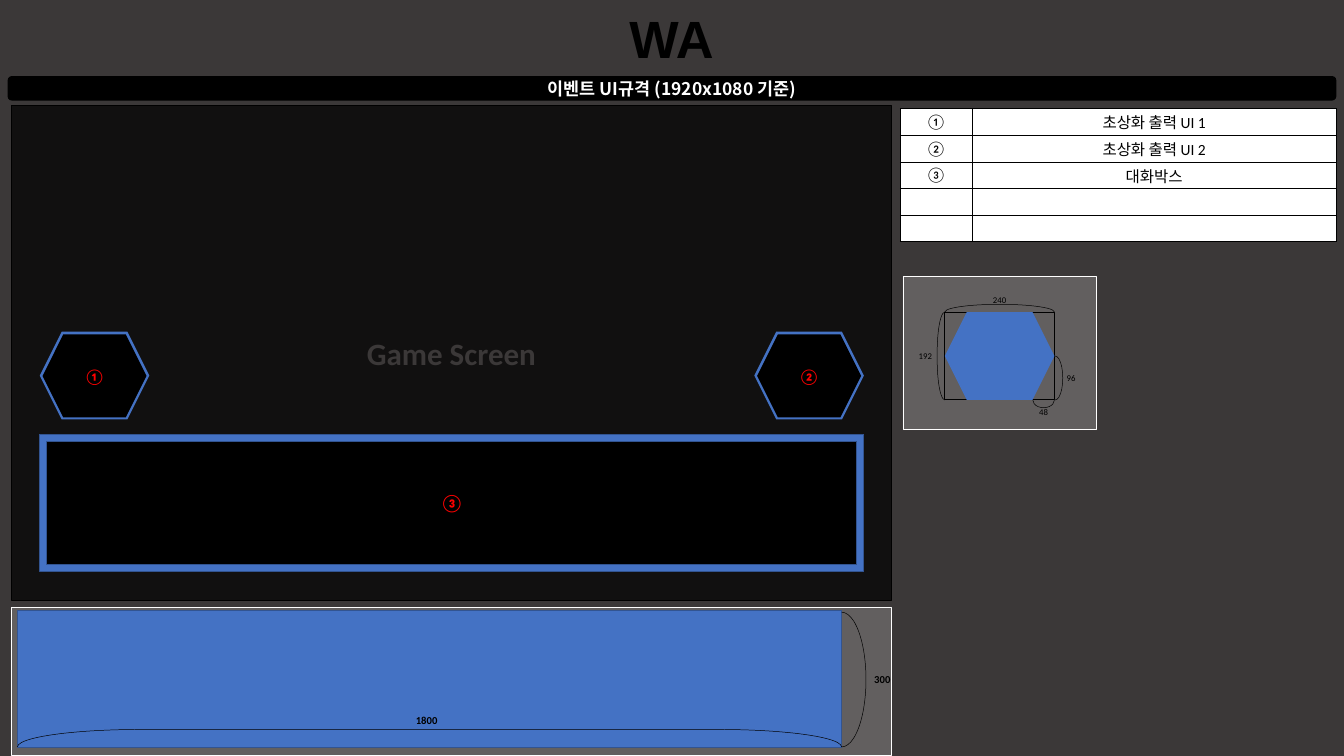
from dataclasses import dataclass

from lxml import etree
from pptx import Presentation
from pptx.dml.color import RGBColor
from pptx.enum.shapes import MSO_SHAPE as Shape
from pptx.enum.text import MSO_ANCHOR as Anchor, PP_ALIGN as Align
from pptx.oxml.ns import qn
from pptx.util import Inches, Pt


@dataclass(frozen=True)
class Theme:
    background: str = "3B3838"
    black: str = "000000"
    white: str = "FFFFFF"
    blue: str = "4472C4"
    edge: str = "325491"
    red: str = "FF0000"
    font: str = "Calibri"
    korean: str = "Noto Sans CJK KR"
    title_font: str = "Arial"
    title: int = 54
    screen: int = 32
    heading: int = 18
    body: int = 16
    dimension: int = 11
    small: int = 9


T = Theme()


def write(tf, text, size, color=T.black, bold=False, font=T.font, anchor=Anchor.MIDDLE):
    """Fill a text frame with one centred, formatted paragraph."""
    tf.text = text
    tf.vertical_anchor = anchor
    p = tf.paragraphs[0]
    p.alignment = Align.CENTER
    for r in p.runs:
        r.font.size, r.font.bold, r.font.name = Pt(size), bold, font
        r.font.color.rgb = RGBColor.from_string(color)
        etree.SubElement(r._r.get_or_add_rPr(), qn("a:ea"), typeface=T.korean)


def draw(shapes, kind, box, fill=None, line=None, width=1, opacity=100):
    """Add a flat preset shape; box is left, top, width, height in inches."""
    sp = shapes.add_shape(kind, *map(Inches, box))
    sp.shadow.inherit = False
    if fill:
        sp.fill.solid()
        sp.fill.fore_color.rgb = RGBColor.from_string(fill)
        if opacity < 100:
            color = sp._element.spPr.find(qn("a:solidFill"))[0]
            etree.SubElement(color, qn("a:alpha"), val=str(opacity * 1000))
    else:
        sp.fill.background()
    if line:
        sp.line.color.rgb = RGBColor.from_string(line)
        sp.line.width = Pt(width)
    else:
        sp.line.fill.background()
    return sp


prs = Presentation()
prs.slide_width, prs.slide_height = Inches(19.26), Inches(10.83)
s = prs.slides.add_slide(prs.slide_layouts[5])
s.background.fill.solid()
s.background.fill.fore_color.rgb = RGBColor.from_string(T.background)

# Title and heading bar
title = s.shapes.title
title.left, title.top, title.width, title.height = map(Inches, (8.89, 0.04, 1.47, 1.01))
write(title.text_frame, "WA", T.title, bold=True, font=T.title_font, anchor=Anchor.TOP)
title.text_frame.word_wrap = False
bar = draw(s.shapes, Shape.ROUNDED_RECTANGLE, (0.11, 1.09, 19.04, 0.35), T.black)
write(bar.text_frame, "이벤트 UI규격 (1920x1080 기준)", T.heading, T.white, True, T.korean)

# Legend table
legend = [("①", "초상화 출력 UI 1"), ("②", "초상화 출력 UI 2"), ("③", "대화박스"), ("", ""), ("", "")]
table = s.shapes.add_table(len(legend), 2, *map(Inches, (12.9, 1.56, 6.25, 1.89))).table
for column, width in zip(table.columns, (1.03, 5.22)):
    column.width = Inches(width)
for row, texts in zip(table.rows, legend):
    for cell, text in zip(row.cells, texts):
        cell.margin_top = cell.margin_bottom = Inches(0.03)
        cell.vertical_anchor = Anchor.MIDDLE
        write(cell.text_frame, text, T.body)
        tcPr = cell._tc.get_or_add_tcPr()
        for side in ("lnL", "lnR", "lnT", "lnB"):
            border = etree.SubElement(tcPr, qn(f"a:{side}"), w=str(Pt(1)))
            color = etree.SubElement(border, qn("a:solidFill"))
            etree.SubElement(color, qn("a:srgbClr"), val=T.black)
        cell.fill.solid()
        cell.fill.fore_color.rgb = RGBColor.from_string(T.white)

# Game screen with two portraits and the dialog box
screen = draw(s.shapes, Shape.RECTANGLE, (0.17, 1.51, 12.6, 7.09), T.black, T.black, opacity=70)
write(screen.text_frame, "Game Screen", T.screen, T.background, True)
for left, mark in ((0.57, "①"), (10.81, "②")):
    draw(s.shapes, Shape.HEXAGON, (left, 4.75, 1.57, 1.26), T.blue)
    portrait = draw(s.shapes, Shape.HEXAGON, (left + 0.04, 4.79, 1.49, 1.19), T.black)
    write(portrait.text_frame, mark, T.body, T.red, True)
draw(s.shapes, Shape.RECTANGLE, (0.57, 6.22, 11.81, 1.97), T.blue, T.edge)
dialog = draw(s.shapes, Shape.RECTANGLE, (0.67, 6.32, 11.61, 1.77), T.black, T.edge)
write(dialog.text_frame, "③", T.heading, T.red, True)

# Dimension panels
for box in ((0.17, 8.7, 12.6, 2.12), (12.94, 3.96, 2.78, 2.2)):
    draw(s.shapes, Shape.RECTANGLE, box, T.white, T.white, opacity=20)
draw(s.shapes, Shape.RECTANGLE, (0.25, 8.74, 11.81, 1.97), T.blue, T.edge)
portrait_size = s.shapes.add_group_shape().shapes
draw(portrait_size, Shape.RECTANGLE, (13.54, 4.47, 1.57, 1.26), line=T.black)
draw(portrait_size, Shape.HEXAGON, (13.54, 4.47, 1.57, 1.26), T.blue)

# Each dimension: shapes, bracket box, rotation, curve, label, label box, size
dimensions = [
    (portrait_size, (14.27, 3.63, 0.11, 1.57), 90, 7.03, "240", (13.74, 4.18, 1.17, 0.25), T.small),
    (portrait_size, (13.43, 4.47, 0.11, 1.26), 0, 5.3, "192", (12.94, 4.98, 0.64, 0.25), T.small),
    (portrait_size, (14.9, 5.63, 0.11, 0.31), 270, 7.03, "48", (14.37, 5.78, 1.17, 0.25), T.small),
    (portrait_size, (15.12, 5.1, 0.11, 0.63), 180, 5.3, "96", (15.03, 5.29, 0.64, 0.25), T.small),
    (s.shapes, (6.03, 4.67, 0.25, 11.81), 90, 7.03, "1800", (5.53, 10.17, 1.17, 0.29), T.dimension),
    (s.shapes, (12.06, 8.77, 0.35, 1.93), 180, 7.03, "300", (12.06, 9.59, 1.17, 0.29), T.dimension),
]
for shapes, box, rotation, curve, text, label_box, size in dimensions:
    bracket = draw(shapes, Shape.LEFT_BRACKET, box, line=T.black, width=0.5)
    bracket.rotation = rotation
    bracket.adjustments[0] = curve
    tf = shapes.add_textbox(*map(Inches, label_box)).text_frame
    tf.word_wrap = True
    write(tf, text, size, bold=size == T.dimension, anchor=Anchor.TOP)

prs.save("out.pptx")
